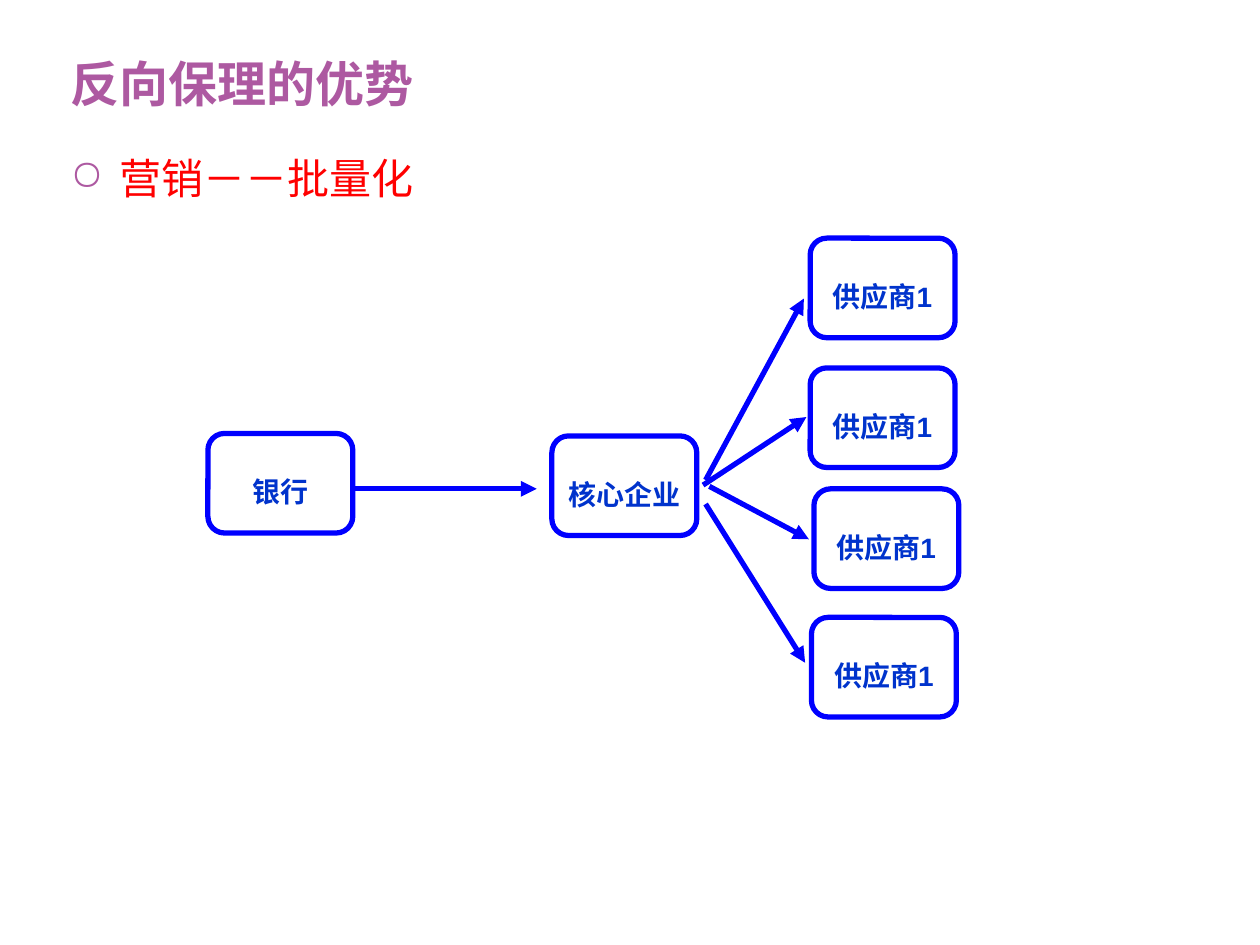
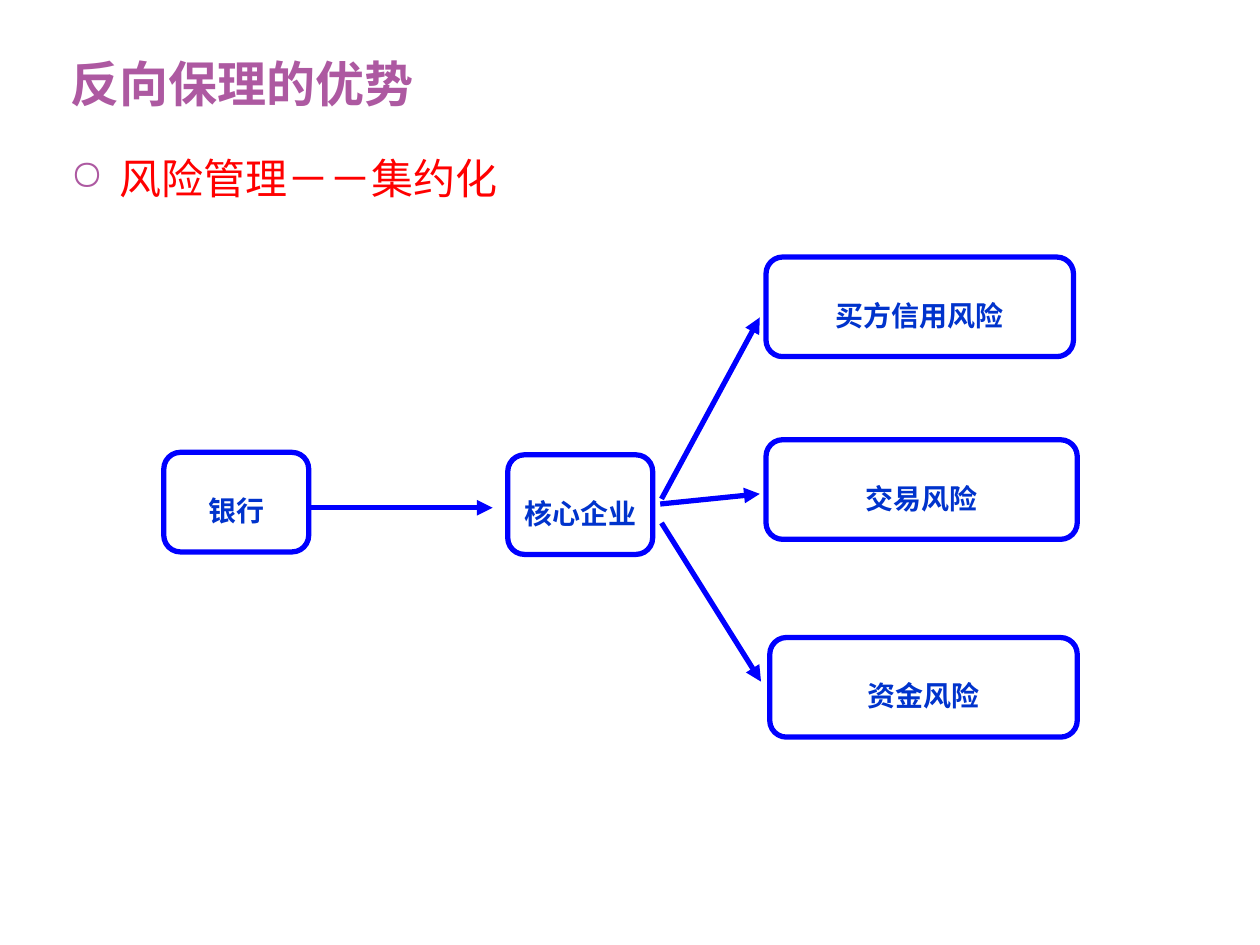
from lxml import etree
from pptx import Presentation
from pptx import util as u
from pptx.dml.color import RGBColor
from pptx.enum import shapes, text
from pptx.oxml import ns

SCALE = 9144  # EMU per px, 100 px to the inch
PURPLE = RGBColor(0xAD, 0x59, 0xA1)
RED = RGBColor(0xFF, 0x00, 0x00)
BLUE = RGBColor(0x00, 0x00, 0xFF)
LABEL_BLUE = RGBColor(0x00, 0x33, 0xCC)
TITLE_FONT, BODY_FONT = "Montserrat", "Arial"

TITLE = "反向保理的优势"
BOX_W, BOX_H = 115, 79


def px(n):
    return u.Emu(n * SCALE)


def add_sub(parent, tag, **attrs):
    return etree.SubElement(parent, ns.qn(tag), attrs)


def write(tf, words, size=16, font=BODY_FONT, color=LABEL_BLUE, bold=False,
          align=text.PP_ALIGN.LEFT, anchor=text.MSO_ANCHOR.TOP, spacing=1.0,
          wrap=True, bullet=None, indent=0):
    tf.auto_size = text.MSO_AUTO_SIZE.NONE
    tf.word_wrap = wrap
    tf.vertical_anchor = anchor
    tf.margin_left = tf.margin_right = px(10)
    tf.margin_top = tf.margin_bottom = px(5)
    p = tf.paragraphs[0]
    if bullet:
        pPr = p._p.get_or_add_pPr()
        pPr.set("marL", str(px(indent)))
        pPr.set("indent", str(-px(indent)))
        add_sub(add_sub(pPr, "a:buClr"), "a:srgbClr", val=str(PURPLE))
        add_sub(pPr, "a:buChar", char=bullet)
    p.alignment = align
    p.line_spacing = spacing
    p.space_before = u.Pt(0)
    r = p.add_run()
    r.text = words
    r.font.size, r.font.name, r.font.bold = u.Pt(size), font, bold
    r.font.color.rgb = color


class Deck:
    """Shared style; diagram parts are placed relative to the current origin."""

    def __init__(self):
        self.prs = Presentation()
        self.prs.slide_width, self.prs.slide_height = px(1000), px(750)
        self.s = None
        self.origin = (0, 0)

    def at(self, x, y):
        return px(self.origin[0] + x), px(self.origin[1] + y)

    def slide(self, heading, origin):
        self.s = self.prs.slides.add_slide(self.prs.slide_layouts[5])
        self.origin = origin
        # Title
        sp = self.s.shapes.title
        sp.left, sp.top, sp.width, sp.height = px(46), px(18), px(907), px(77)
        write(sp.text_frame, TITLE, size=28, font=TITLE_FONT, color=PURPLE,
              bold=True, anchor=text.MSO_ANCHOR.BOTTOM, spacing=0.9)
        # Bulleted heading
        sp = self.s.shapes.add_textbox(px(46), px(112), px(907), px(568))
        write(sp.text_frame, heading, size=24, color=RED, spacing=1.1,
              align=text.PP_ALIGN.JUSTIFY, bullet="○", indent=39)

    def box(self, words, x, y, w=BOX_W):
        sp = self.s.shapes.add_shape(shapes.MSO_SHAPE.ROUNDED_RECTANGLE,
                                     *self.at(x, y), px(w), px(BOX_H))
        sp.shadow.inherit = False
        sp.fill.background()
        sp.line.color.rgb = BLUE
        sp.line.width = u.Pt(3)
        write(sp.text_frame, words, bold=True, align=text.PP_ALIGN.CENTER,
              anchor=text.MSO_ANCHOR.MIDDLE, spacing=1.5, wrap=False)

    def arrow(self, start, end):
        c = self.s.shapes.add_connector(shapes.MSO_CONNECTOR.STRAIGHT,
                                        *self.at(*start), *self.at(*end))
        c.line.color.rgb = BLUE
        c.line.width = u.Pt(3)
        add_sub(c.line._get_or_add_ln(), "a:tailEnd", type="triangle")
        add_sub(c._element.spPr, "a:effectLst")

    def fan(self, targets, middle_arrows):
        """Bank, core company, and the boxes the core company leads to."""
        self.box("银行", 0, 0)
        self.box("核心企业", 273, 2)
        for target in targets:
            self.box(*target)
        self.arrow((116, 44), (261, 44))
        self.arrow((395, 37), (473, -107))
        for start, end in middle_arrows:
            self.arrow(start, end)
        self.arrow((395, 56), (474, 182))


def main():
    deck = Deck()

    # Marketing: one core company brings many suppliers
    deck.slide("营销－－批量化", origin=(165, 344))
    places = [(478, -155), (478, -52), (481, 44), (479, 146)]
    deck.fan([("供应商1", x, y) for x, y in places],
             [((393, 41), (475, -13)), ((398, 42), (477, 84))])

    # Risk management: three risks handled through the core company
    deck.slide("风险管理－－集约化", origin=(130, 359))
    deck.fan([("买方信用风险", 478, -155, 244),
              ("交易风险", 478, -10, 247),
              ("资金风险", 481, 147, 244)],
             [((394, 41), (473, 33))])

    deck.prs.save("out.pptx")


if __name__ == "__main__":
    main()
